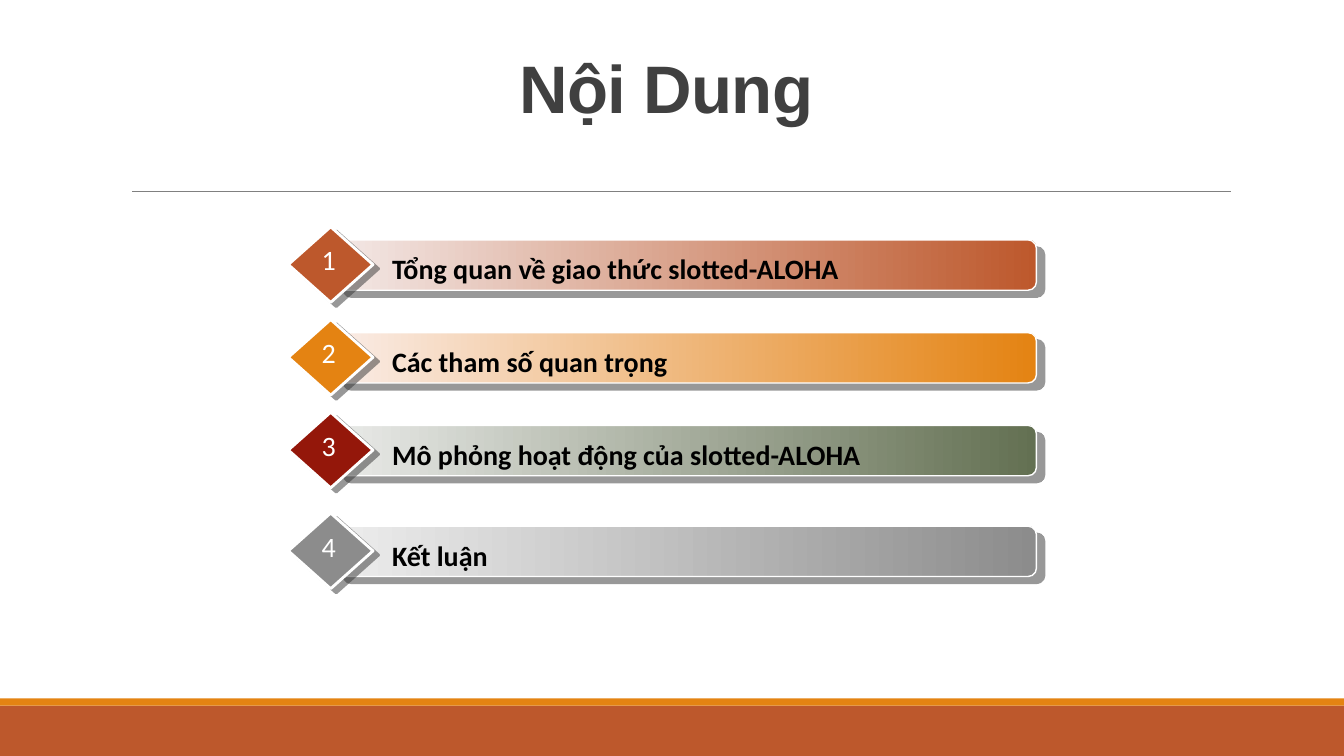
from dataclasses import dataclass

from lxml.etree import SubElement
from pptx import Presentation
from pptx.dml.color import RGBColor
from pptx.enum.shapes import MSO_CONNECTOR, MSO_SHAPE
from pptx.enum.text import MSO_ANCHOR, MSO_AUTO_SIZE, PP_ALIGN
from pptx.oxml.ns import qn
from pptx.util import Inches, Pt


@dataclass(frozen=True)
class Theme:
    rust: str = "BD582C"
    orange: str = "E48312"
    red: str = "94170A"
    green: str = "637052"
    gray: str = "8C8C8C"
    white: str = "FFFFFF"
    black: str = "000000"
    title: str = "404040"
    rule: str = "808080"
    shadow: str = "333333"
    title_size: int = 48
    body_size: int = 20


T = Theme()


def write(tf, text, font="Calibri", size=T.body_size, color=T.black, bold=False,
          align=PP_ALIGN.LEFT, wrap=True, fit=MSO_AUTO_SIZE.SHAPE_TO_FIT_TEXT):
    tf.word_wrap = wrap
    tf.auto_size = fit
    p = tf.paragraphs[0]
    p.alignment = align
    r = p.add_run()
    r.text = text
    r.font.name, r.font.size, r.font.bold = font, Pt(size), bold
    r.font.color.rgb = RGBColor.from_string(color)
    return p


def add_shape(shapes, kind, box, fill, line=None, shadow=None):
    """Fill is one colour or a (start, end) gradient; shadow is (points, degrees)."""
    sp = shapes.add_shape(kind, *map(Inches, box))
    sp.shadow.inherit = False
    if isinstance(fill, tuple):
        sp.fill.gradient()
        sp.fill.gradient_angle = 0
        for stop, color in zip(sp.fill.gradient_stops, fill):
            stop.color.rgb = RGBColor.from_string(color)
    else:
        sp.fill.solid()
        sp.fill.fore_color.rgb = RGBColor.from_string(fill)
    if line:
        sp.line.color.rgb = RGBColor.from_string(T.white)
        sp.line.width = Pt(line)
    else:
        sp.line.fill.background()
    if shadow:
        distance, angle = shadow
        outer = SubElement(sp._element.spPr.find(qn("a:effectLst")), qn("a:outerShdw"),
                           blurRad="0", dist=str(Pt(distance)), dir=str(angle * 60000),
                           algn="ctr", rotWithShape="0")
        color = SubElement(outer, qn("a:srgbClr"), val=T.shadow)
        SubElement(color, qn("a:alpha"), val="50000")
    return sp


prs = Presentation()
prs.slide_width, prs.slide_height = Inches(13.33), Inches(7.5)
s = prs.slides.add_slide(prs.slide_layouts[5])

# Footer bands and title rule
add_shape(s.shapes, MSO_SHAPE.RECTANGLE, (0, 7, 13.33, 0.5), T.rust)
add_shape(s.shapes, MSO_SHAPE.RECTANGLE, (0, 6.93, 13.33, 0.07), T.orange)
rule = s.shapes.add_connector(MSO_CONNECTOR.STRAIGHT, Inches(1.31), Inches(1.9),
                              Inches(12.21), Inches(1.9))
rule.line.color.rgb = RGBColor.from_string(T.rule)
rule.line.width = Pt(0.5)
SubElement(rule._element.spPr, qn("a:effectLst"))

# Title
title = s.shapes.title
title.left, title.top, title.width, title.height = map(Inches, (1.2, 0.31, 11, 1))
title.text_frame.vertical_anchor = MSO_ANCHOR.BOTTOM
p = write(title.text_frame, "Nội Dung ", font="Arial", size=T.title_size, color=T.title,
          bold=True, align=PP_ALIGN.CENTER, fit=MSO_AUTO_SIZE.NONE)
p.line_spacing = 0.85
p.runs[0].font._element.set("spc", "-50")

# Agenda: top, text, bar gradient, diamond colour
agenda = [
    (2.25, "Tổng quan về giao thức slotted-ALOHA", ("F3E8E6", T.rust), T.rust),
    (3.17, "Các tham số quan trọng", ("FAECE6", T.orange), T.orange),
    (4.09, "Mô phỏng hoạt động của slotted-ALOHA", ("E9EAE8", T.green), T.red),
    (5.09, "Kết luận", ("EDEDED", T.gray), T.gray),
]
for number, (top, text, gradient, color) in enumerate(agenda, 1):
    item = s.shapes.add_group_shape().shapes
    bar = add_shape(item, MSO_SHAPE.ROUNDED_RECTANGLE, (3.32, top + 0.13, 6.96, 0.5),
                    gradient, line=1, shadow=(7.8, 40))
    bar.adjustments[0] = 0.167
    add_shape(item, MSO_SHAPE.DIAMOND, (2.86, top, 0.84, 0.75), color, line=2, shadow=(5, 37))
    label = item.add_textbox(*map(Inches, (3.79, top + 0.2, 6.4, 0.44)))
    write(label.text_frame, text, bold=True)
    digit = item.add_textbox(*map(Inches, (3.07, top + 0.11, 0.38, 0.44)))
    write(digit.text_frame, str(number), color=T.white, align=PP_ALIGN.CENTER, wrap=False)

prs.save("out.pptx")
